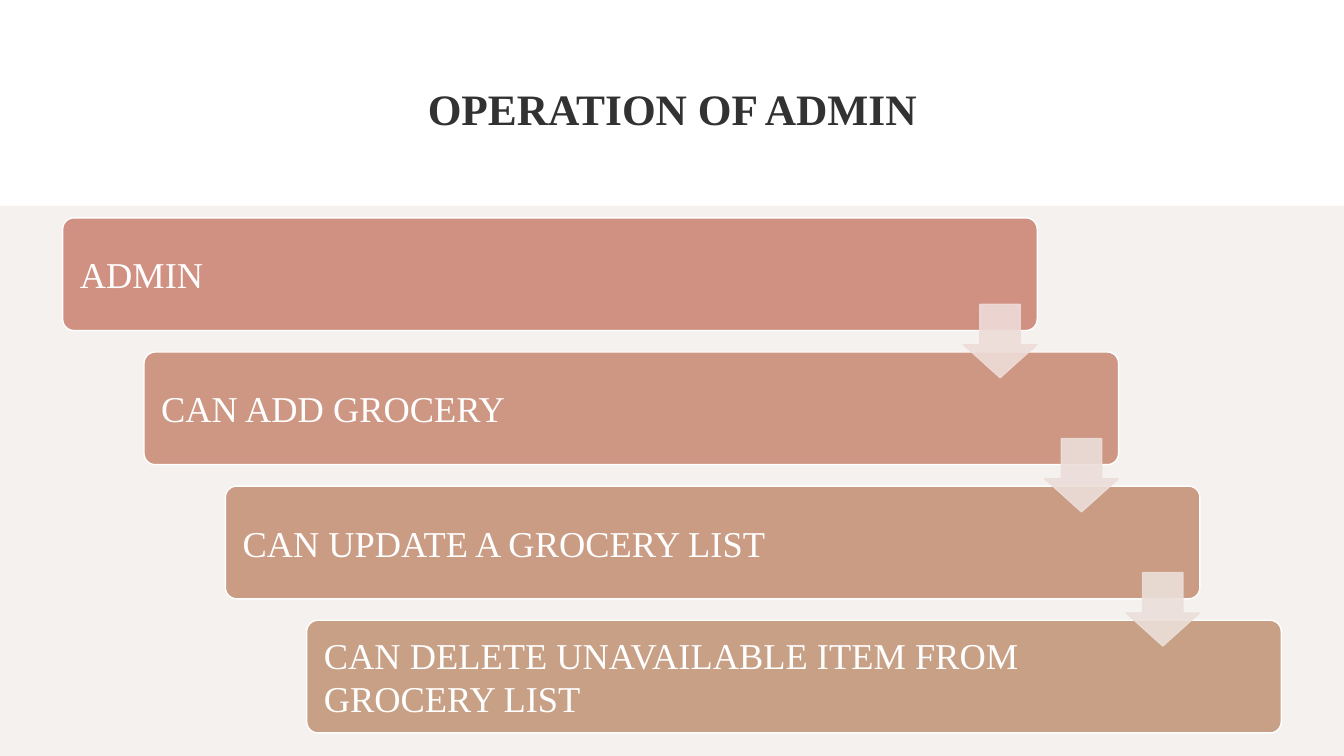
from dataclasses import dataclass

from lxml.etree import SubElement
from pptx import Presentation
from pptx.dml.color import RGBColor
from pptx.enum.shapes import MSO_SHAPE as SHAPE
from pptx.enum.text import MSO_ANCHOR as ANCHOR, PP_ALIGN as ALIGN
from pptx.oxml.ns import qn
from pptx.util import Cm, Pt

FONT = "Times New Roman"
WHITE = "FFFFFF"

# Staircase geometry in centimetres
BAR_LEFT, BAR_TOP, BAR_WIDTH, BAR_HEIGHT = 1.58, 5.49, 24.56, 2.84
STEP_X, STEP_Y = 2.05, 3.38
ARROW_LEFT, ARROW_TOP, ARROW_SIZE = 24.28, 7.67, 1.85


@dataclass
class Step:
    text: str
    color: str
    arrow_color: str = ""


STEPS = [
    Step("ADMIN", "D09182", "EEDCD8"),
    Step("CAN ADD GROCERY", "CD9783", "ECDED9"),
    Step("CAN UPDATE A GROCERY LIST", "CA9C84", "EBDFD9"),
    Step("CAN DELETE UNAVAILABLE ITEM FROM GROCERY LIST", "C7A085"),
]


def rgb(color: str) -> RGBColor:
    return RGBColor.from_string(color)


def add_box(slide, kind, left: float, top: float, width: float, height: float,
            fill: str, line: str = ""):
    sp = slide.shapes.add_shape(kind, Cm(left), Cm(top), Cm(width), Cm(height))
    sp.shadow.inherit = False
    sp.fill.solid()
    sp.fill.fore_color.rgb = rgb(fill)
    if line:
        sp.line.color.rgb = rgb(line)
        sp.line.width = Pt(1)
    else:
        sp.line.fill.background()
    return sp


def set_text(sp, text: str, size: float, color: str, align, anchor, bold: bool = False):
    tf = sp.text_frame
    tf.word_wrap = True
    tf.vertical_anchor = anchor
    tf.text = text
    p = tf.paragraphs[0]
    p.alignment = align
    font = p.runs[0].font
    font.name, font.size, font.bold = FONT, Pt(size), bold
    font.color.rgb = rgb(color)
    return tf


def add_bar(slide, step: Step, index: int) -> None:
    sp = add_box(slide, SHAPE.ROUNDED_RECTANGLE, BAR_LEFT + index * STEP_X,
                 BAR_TOP + index * STEP_Y, BAR_WIDTH, BAR_HEIGHT, step.color, WHITE)
    sp.adjustments[0] = 0.1
    tf = set_text(sp, step.text, 26, WHITE, ALIGN.LEFT, ANCHOR.MIDDLE)
    tf.margin_left, tf.margin_right = Cm(0.35), Cm(4.1)


def add_arrow(slide, step: Step, index: int) -> None:
    sp = add_box(slide, SHAPE.DOWN_ARROW, ARROW_LEFT + index * STEP_X,
                 ARROW_TOP + index * STEP_Y, ARROW_SIZE, ARROW_SIZE,
                 step.arrow_color, step.arrow_color)
    sp.adjustments[0], sp.adjustments[1] = 0.55, 0.45
    # Fill and outline are 90% opaque
    for clr in sp._element.spPr.iter(qn("a:srgbClr")):
        SubElement(clr, qn("a:alpha"), val="90000")


def main() -> None:
    prs = Presentation()
    prs.slide_width, prs.slide_height = Cm(33.87), Cm(19.05)
    slide = prs.slides.add_slide(prs.slide_layouts[6])

    # Title
    title = slide.shapes.add_textbox(Cm(3.96), Cm(1.96), Cm(25.96), Cm(2.77))
    tf = set_text(title, "OPERATION OF ADMIN", 31, "323232", ALIGN.CENTER, ANCHOR.TOP, True)
    tf.margin_top = Cm(0.25)
    tf.paragraphs[0].line_spacing = 0.9

    # Lower panel
    add_box(slide, SHAPE.RECTANGLE, 0, 5.19, 33.87, 13.86, "F4F1EF")

    # Staircase of bars, then the arrows on top
    for i, step in enumerate(STEPS):
        add_bar(slide, step, i)
    for i, step in enumerate(STEPS[:-1]):
        add_arrow(slide, step, i)

    prs.save("out.pptx")


if __name__ == "__main__":
    main()
